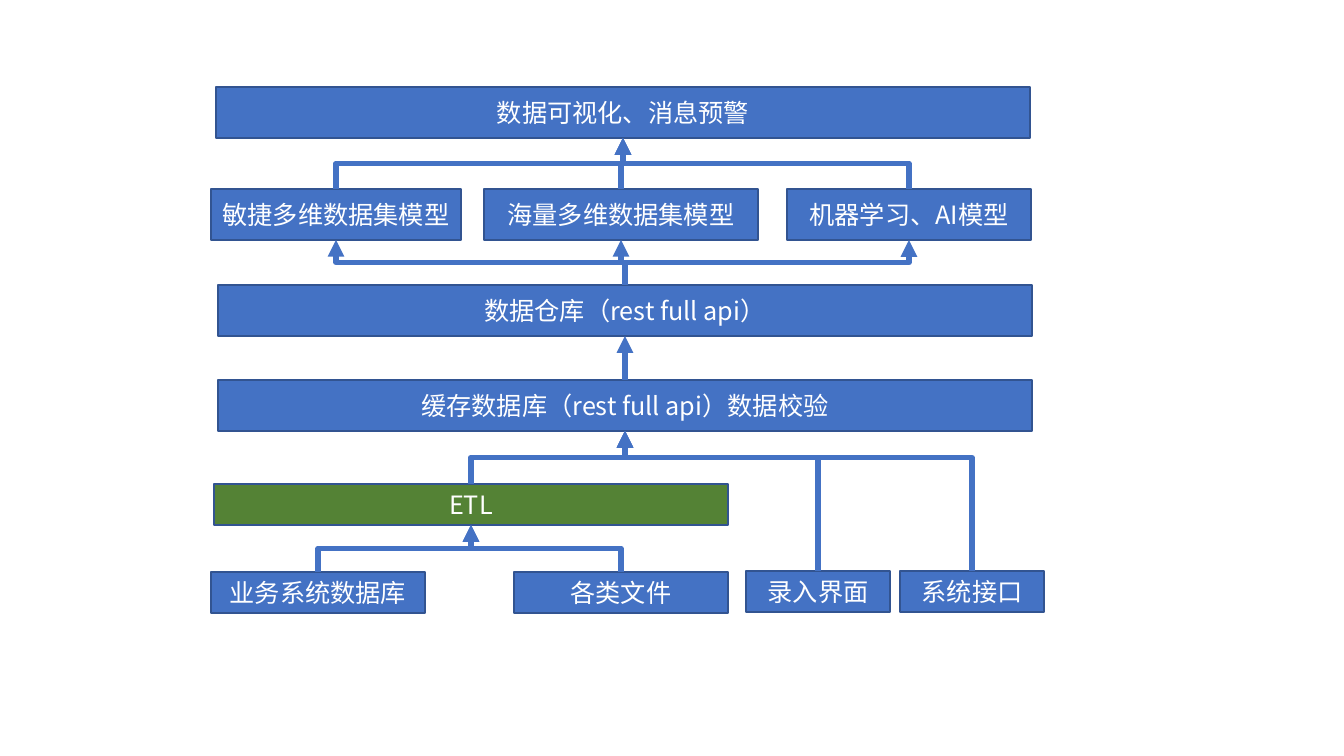
"""Draw the layered data platform architecture from sources up to visualisation."""
from dataclasses import dataclass

import lxml.etree
import pptx
import pptx.dml.color
import pptx.enum.shapes
import pptx.enum.text
import pptx.oxml.ns
import pptx.util

EMU_PER_PIXEL = 914400 / 100.8
FONT = "Noto Sans CJK SC"
BLUE, GREEN, EDGE, WHITE = "4472C4", "548235", "325491", "FFFFFF"
UPPER_HEIGHT, LOWER_HEIGHT = 51, 41


@dataclass(frozen=True)
class Layer:
    text: str
    left: int
    top: int
    width: int
    height: int
    fill: str = BLUE

    @property
    def center(self) -> float:
        return self.left + self.width / 2

    @property
    def bottom(self) -> int:
        return self.top + self.height


@dataclass(frozen=True)
class Flow:
    source: Layer
    target: Layer
    turn: float = 0.5


def px(pixels: float) -> pptx.util.Emu:
    return pptx.util.Emu(round(pixels * EMU_PER_PIXEL))


def color(value: str) -> pptx.dml.color.RGBColor:
    return pptx.dml.color.RGBColor.from_string(value)


def add_child(parent, tag: str, **attributes: str):
    return lxml.etree.SubElement(parent, pptx.oxml.ns.qn(tag), attributes)


def draw_layer(slide, layer: Layer) -> None:
    box = slide.shapes.add_shape(
        pptx.enum.shapes.MSO_SHAPE.RECTANGLE,
        px(layer.left), px(layer.top), px(layer.width), px(layer.height),
    )
    box.shadow.inherit = False
    box.fill.solid()
    box.fill.fore_color.rgb = color(layer.fill)
    box.line.color.rgb = color(EDGE)
    box.line.width = pptx.util.Pt(1)
    frame = box.text_frame
    frame.word_wrap = True
    frame.vertical_anchor = pptx.enum.text.MSO_ANCHOR.MIDDLE
    paragraph = frame.paragraphs[0]
    paragraph.alignment = pptx.enum.text.PP_ALIGN.CENTER
    run = paragraph.add_run()
    run.text = layer.text
    run.font.size = pptx.util.Pt(18)
    run.font.color.rgb = color(WHITE)
    run.font.name = FONT
    add_child(run.font._element, "a:ea", typeface=FONT)


def draw_flow(slide, flow: Flow) -> None:
    start_x, end_x = flow.source.center, flow.target.center
    start_y, end_y = flow.source.top, flow.target.bottom
    middle_x, middle_y = (start_x + end_x) / 2, (start_y + end_y) / 2
    half_rise, half_run = (start_y - end_y) / 2, (end_x - start_x) / 2
    arrow = slide.shapes.add_connector(
        pptx.enum.shapes.MSO_CONNECTOR.ELBOW,
        px(middle_x - half_rise), px(middle_y - half_run),
        px(middle_x + half_rise), px(middle_y + half_run),
    )
    arrow.line.color.rgb = color(BLUE)
    arrow.line.width = pptx.util.Pt(4)
    properties = arrow._element.spPr
    properties.find(pptx.oxml.ns.qn("a:xfrm")).set("rot", "16200000")
    adjustments = properties.find(".//" + pptx.oxml.ns.qn("a:avLst"))
    add_child(adjustments, "a:gd", name="adj1", fmla=f"val {round(flow.turn * 100000)}")
    add_child(properties.find(pptx.oxml.ns.qn("a:ln")), "a:tailEnd", type="triangle")
    add_child(properties, "a:effectLst")


visualization = Layer("数据可视化、消息预警", 216, 87, 814, UPPER_HEIGHT)
agile_model = Layer("敏捷多维数据集模型", 211, 189, 250, UPPER_HEIGHT)
massive_model = Layer("海量多维数据集模型", 484, 189, 274, UPPER_HEIGHT)
learning_model = Layer("机器学习、AI模型", 787, 189, 244, UPPER_HEIGHT)
warehouse = Layer("数据仓库（rest full api）", 218, 285, 814, UPPER_HEIGHT)
cache = Layer("缓存数据库（rest full api）数据校验", 218, 380, 814, UPPER_HEIGHT)
etl = Layer("ETL", 214, 484, 514, LOWER_HEIGHT, GREEN)
business_database = Layer("业务系统数据库", 211, 572, 214, LOWER_HEIGHT)
files = Layer("各类文件", 514, 572, 214, LOWER_HEIGHT)
entry_screen = Layer("录入界面", 746, 571, 144, LOWER_HEIGHT)
system_interface = Layer("系统接口", 900, 571, 144, LOWER_HEIGHT)

models = (agile_model, massive_model, learning_model)
layers = (
    visualization, *models, warehouse, cache, etl,
    business_database, files, entry_screen, system_interface,
)
flows = (
    *(Flow(source, etl) for source in (business_database, files)),
    Flow(etl, cache),
    *(Flow(source, cache, 0.81) for source in (entry_screen, system_interface)),
    Flow(cache, warehouse),
    *(Flow(warehouse, model) for model in models),
    *(Flow(model, visualization) for model in models),
)

presentation = pptx.Presentation()
presentation.slide_width = px(1344)
presentation.slide_height = px(756)
architecture = presentation.slides.add_slide(presentation.slide_layouts[6])
for layer in layers:
    draw_layer(architecture, layer)
for flow in flows:
    draw_flow(architecture, flow)
presentation.save("out.pptx")
